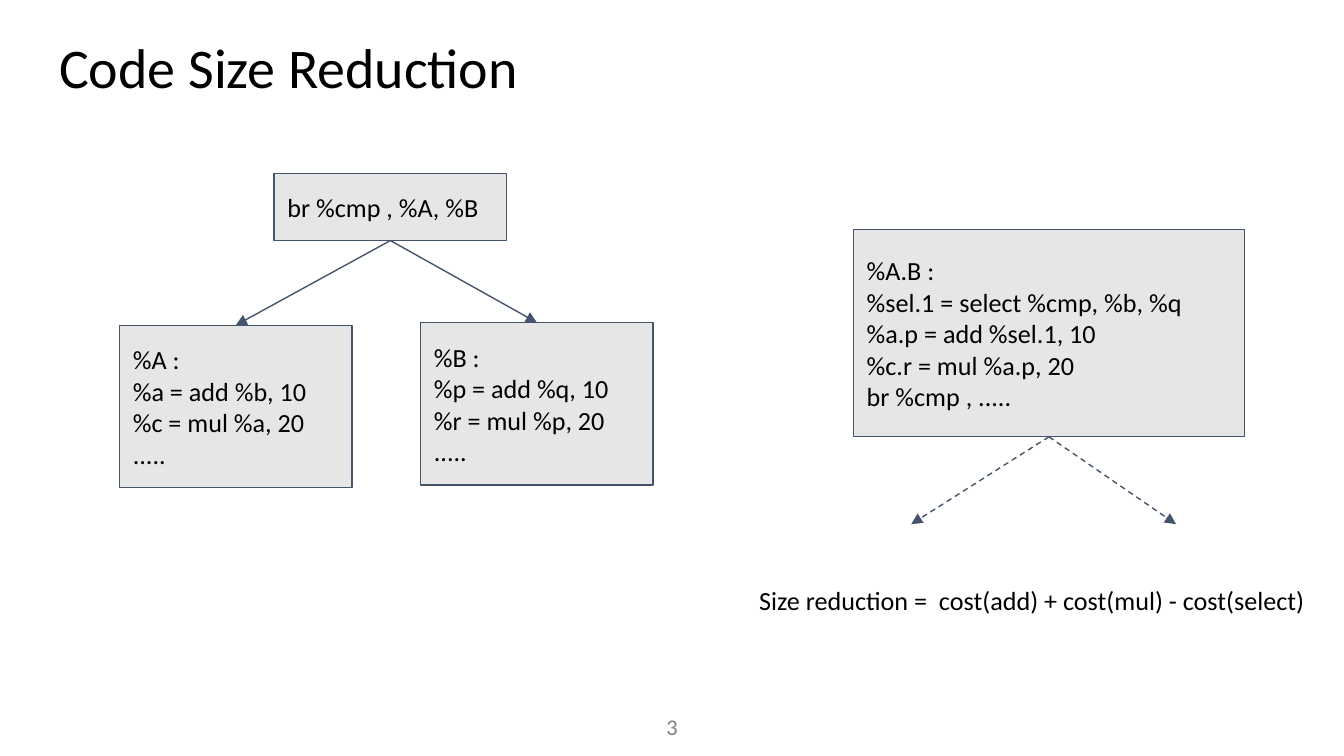
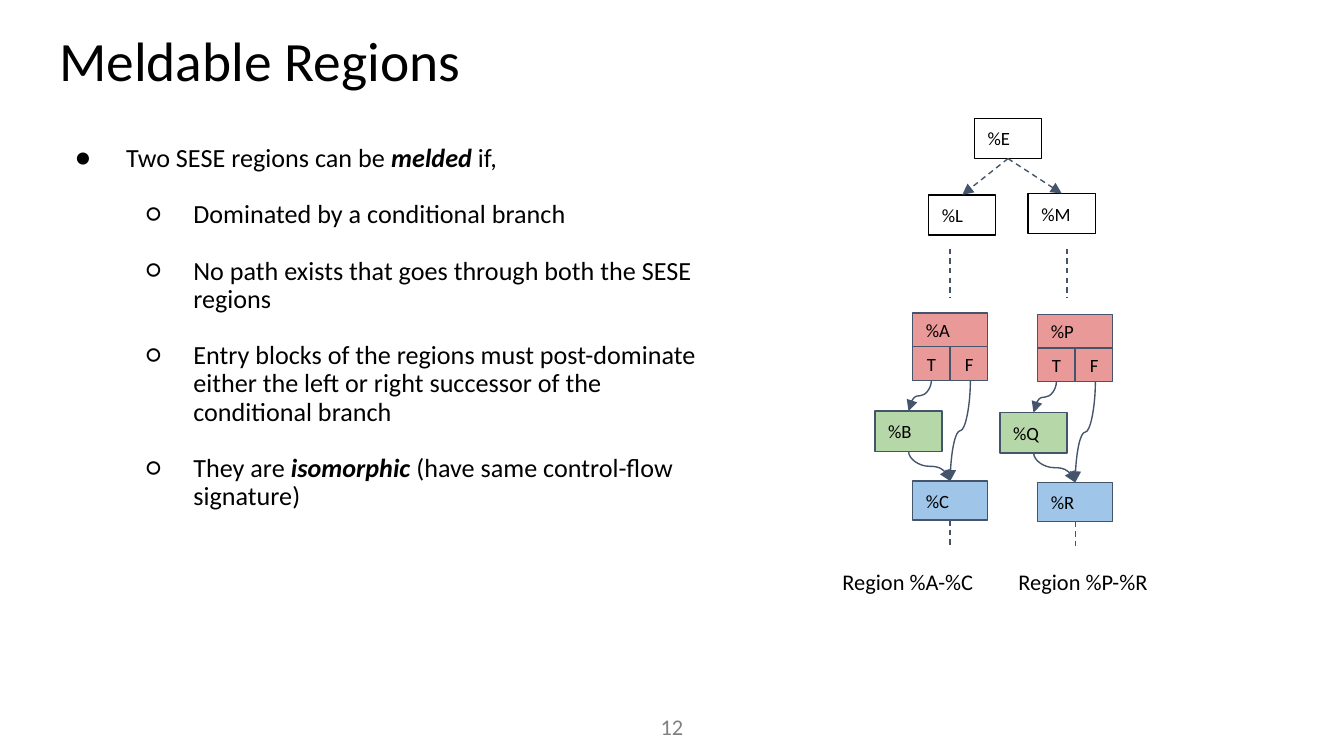
from lxml import etree
from pptx import Presentation
from pptx.dml.color import RGBColor
from pptx.enum import dml, shapes, text
from pptx.oxml import ns
from pptx.util import Inches, Pt

FONT = "Calibri"
BLACK = RGBColor(0, 0, 0)
GREY = RGBColor(0x80, 0x80, 0x80)
PALE = RGBColor(0xE7, 0xE6, 0xE6)
SLATE = RGBColor(0x44, 0x54, 0x6A)
RED = RGBColor(0xEA, 0x99, 0x99)
GREEN = RGBColor(0xB6, 0xD7, 0xA8)
BLUE = RGBColor(0x9F, 0xC5, 0xE8)
LEFT, MID = text.PP_ALIGN.LEFT, text.PP_ALIGN.CENTER
TOP, CENTRE = text.MSO_ANCHOR.TOP, text.MSO_ANCHOR.MIDDLE

BRANCH = ["br %cmp , %A, %B"]
ARMS = [
    ((0.89, 2.42), ["%A :", "%a = add %b, 10", "%c = mul %a, 20", "....."]),
    ((3.13, 2.4), ["%B :", "%p = add %q, 10", "%r = mul %p, 20", "....."]),
]
MERGED = [
    "%A.B :",
    "%sel.1 = select %cmp, %b, %q",
    "%a.p = add %sel.1, 10",
    "%c.r = mul %a.p, 20",
    "br %cmp , .....",
]
EXITS = [(6.78, 3.9), (8.75, 3.9)]
COST = "Size reduction =  cost(add) + cost(mul) - cost(select)"

RULES = [
    (0, ["Two SESE regions can be ", "*melded", " if,"]),
    (1, ["Dominated by a conditional branch"]),
    (1, ["No path exists that goes through both the SESE regions"]),
    (1, ["Entry blocks of the regions must post-dominate either the left "
         "or right successor of the conditional branch"]),
    (1, ["They are ", "*isomorphic", " (have same control-flow signature)"]),
]
BULLETS = [("●", 0.5, -0.38), ("○", 1, -0.35)]
HEADS = [("%L", 6.91, 1.45), ("%M", 7.65, 1.44)]
GAPS = [7.07, 7.94]
REGIONS = [
    ((6.79, 2.33), "%A", "%B", "%C", "Region %A-%C", (6.17, 1.19)),
    ((7.72, 2.34), "%P", "%Q", "%R", "Region %P-%R", (7.48, 1.17)),
]


def write(frame, paras, size, color=BLACK, align=LEFT, anchor=TOP,
          pad=0.1, wrap=True, lead=None):
    frame.word_wrap = wrap
    frame.auto_size = text.MSO_AUTO_SIZE.NONE
    frame.vertical_anchor = anchor
    frame.margin_left = frame.margin_right = Inches(0.1)
    frame.margin_top = frame.margin_bottom = Inches(pad)
    for i, runs in enumerate(paras):
        para = frame.add_paragraph() if i else frame.paragraphs[0]
        para.alignment = align
        if lead:
            para.line_spacing = lead
        for part in [runs] if isinstance(runs, str) else runs:
            run = para.add_run()
            run.text = part.lstrip("*")
            font = run.font
            font.name, font.size = FONT, Pt(size)
            font.color.rgb = color
            if part.startswith("*"):
                font.bold = font.italic = True


def label(slide, at, paras, size, **style):
    box = slide.shapes.add_textbox(*map(Inches, at))
    write(box.text_frame, paras, size, **style)
    return box


def block(host, at, lines, size=10, fill=None, edge=SLATE, align=LEFT):
    box = host.shapes.add_shape(shapes.MSO_SHAPE.RECTANGLE, *map(Inches, at))
    box.shadow.inherit = False
    if fill is None:
        box.fill.background()
    else:
        box.fill.solid()
        box.fill.fore_color.rgb = fill
    box.line.color.rgb = edge
    box.line.width = Pt(0.75)
    write(box.text_frame, lines, size, align=align, anchor=CENTRE)
    return box


def link(slide, start, end, dash=False, arrow=True,
         kind=shapes.MSO_CONNECTOR.STRAIGHT):
    line = slide.shapes.add_connector(kind, *map(Inches, start + end))
    line.line.color.rgb = SLATE
    line.line.width = Pt(0.75)
    if dash:
        line.line.dash_style = dml.MSO_LINE.DASH
    if arrow:
        tip = etree.SubElement(line.line._get_or_add_ln(), ns.qn("a:tailEnd"))
        tip.set("type", "triangle")
    etree.SubElement(line._element.spPr, ns.qn("a:effectLst"))
    return line


def foot(box):
    return ((box.left + box.width / 2) / Inches(1),
            (box.top + box.height) / Inches(1))


def join(slide, box, end, **style):
    point = end if isinstance(end, tuple) else (0, 0)
    line = link(slide, foot(box), point, **style)
    line.begin_connect(box, 2)
    if point is not end:
        line.end_connect(end, 0)


def curve(slide, start, end):
    (x1, y1), (x2, y2) = start, end
    midx, midy = (x1 + x2) / 2, (y1 + y2) / 2
    run, rise = (y2 - y1) / 2, abs(x2 - x1) / 2
    right = x2 > x1
    if right:
        run = -run
    line = link(slide, (midx - run, midy - rise), (midx + run, midy + rise),
                kind=shapes.MSO_CONNECTOR.CURVE)
    line._element.spPr.xfrm.set("rot", str((270 if right else 90) * 60000))


def page(deck, title, number, top, size):
    slide = deck.slides.add_slide(deck.slide_layouts[5])
    head = slide.shapes.title
    head.left, head.top, head.width, head.height = map(
        Inches, (0.34, top, 9.32, 0.63))
    write(head.text_frame, [title], size, lead=0.9)
    label(slide, (4.7, 5.19, 0.6, 0.43), [number], 12,
          color=GREY, align=MID, anchor=CENTRE)
    return slide


def reduce(deck):
    slide = page(deck, "Code Size Reduction", "3", 0.2, 30)
    root = block(slide, (2.04, 1.29, 1.73, 0.5), BRANCH, 14, PALE)
    for at, code in ARMS:
        arm = block(slide, at + (1.73, 1.21), code, 14, PALE)
        join(slide, root, arm)
    both = block(slide, (6.35, 1.71, 2.91, 1.54), MERGED, 14, PALE)
    for end in EXITS:
        join(slide, both, end, dash=True)
    label(slide, (5.55, 4.3, 4.3, 0.34), [COST], 14, pad=0.05, wrap=False)


def list_rules(slide):
    box = label(slide, (0.34, 0.98, 4.99, 3.74),
                [runs for level, runs in RULES], 14, lead=0.9)
    for i, (para, (level, runs)) in enumerate(
            zip(box.text_frame.paragraphs, RULES)):
        mark, margin, indent = BULLETS[level]
        para.level = level
        props = para._p.get_or_add_pPr()
        props.set("marL", str(Inches(margin)))
        props.set("indent", str(Inches(indent)))
        etree.SubElement(props, ns.qn("a:buFont")).set("typeface", FONT)
        etree.SubElement(props, ns.qn("a:buChar")).set("char", mark)
        if i:
            para.space_before = Pt(15)


def region(slide, origin, entry, side, leave, name, place):
    x, y = origin
    wide, half, high = 0.56, 0.28, 0.25
    mid, base = x + half, y + 2 * high
    group = slide.shapes.add_group_shape()
    block(group, (x, y, wide, high), [entry], fill=RED)
    for i, flag in enumerate("TF"):
        block(group, (x + i * half, y + high, half, high), [flag],
              fill=RED, align=MID)
    then = block(slide, (x - 0.28, y + 0.73, 0.5, 0.3), [side], fill=GREEN)
    last = block(slide, (x, y + 1.25, wide, 0.29), [leave], fill=BLUE)
    goal = (mid, y + 1.25)
    low = foot(then)
    curve(slide, (x + half / 2, base), (low[0], y + 0.73))
    curve(slide, low, goal)
    curve(slide, (x + 1.5 * half + 0.01, base), goal)
    join(slide, last, (mid, y + 1.75), dash=True, arrow=False)
    left, width = place
    label(slide, (left, 4.18, width, 0.3), [name], 12, pad=0.05, wrap=False)


def meld(deck):
    slide = page(deck, "Meldable Regions", "12", 0.15, 29.7)
    list_rules(slide)
    root = block(slide, (7.25, 0.88, 0.5, 0.3), ["%E"], edge=BLACK)
    for name, x, y in HEADS:
        head = block(slide, (x, y, 0.5, 0.3), [name], edge=BLACK)
        join(slide, root, head, dash=True)
    for x in GAPS:
        link(slide, (x, 1.85), (x, 2.21), dash=True, arrow=False)
    for item in REGIONS:
        region(slide, *item)


def main():
    deck = Presentation()
    deck.slide_width = Inches(10)
    deck.slide_height = deck.slide_width * 9 // 16
    reduce(deck)
    meld(deck)
    deck.save("out.pptx")


if __name__ == "__main__":
    main()
